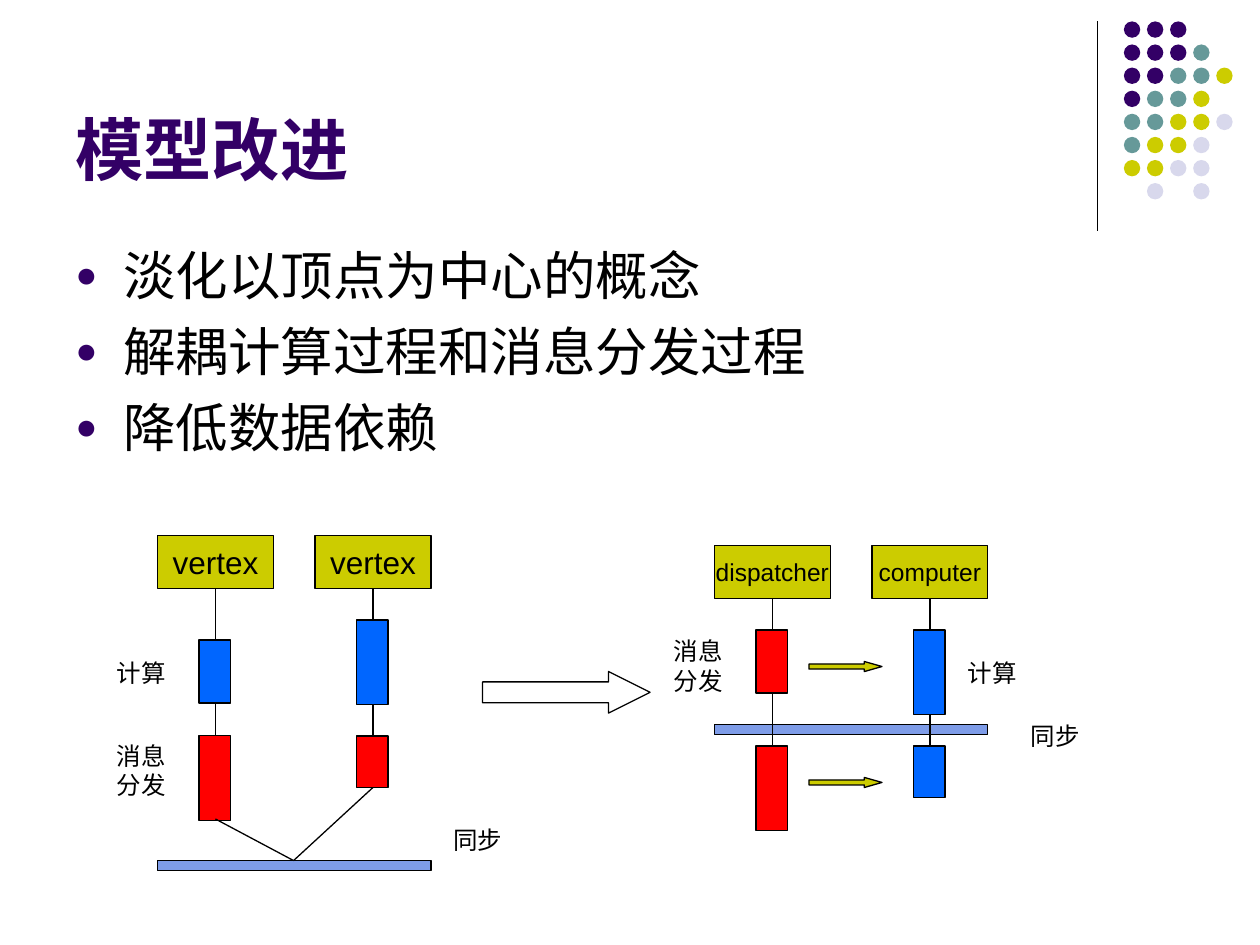
from pptx import Presentation
from pptx.dml.color import RGBColor
from pptx.enum.shapes import MSO_CONNECTOR as Link, MSO_SHAPE as Kind
from pptx.enum.text import MSO_ANCHOR as Anchor, MSO_AUTO_SIZE as Fit, PP_ALIGN as Align
from pptx.oxml import parse_xml
from pptx.oxml.ns import nsdecls
from pptx.util import Inches, Pt

BLACK = RGBColor(0x00, 0x00, 0x00)
WHITE = RGBColor(0xFF, 0xFF, 0xFF)
PURPLE = RGBColor(0x33, 0x00, 0x66)
TEAL = RGBColor(0x66, 0x99, 0x99)
OLIVE = RGBColor(0xCC, 0xCC, 0x00)
PALE = RGBColor(0xD8, 0xD8, 0xEC)
RED = RGBColor(0xFF, 0x00, 0x00)
BLUE = RGBColor(0x00, 0x66, 0xFF)
SYNC = RGBColor(0x7E, 0x9C, 0xE8)

deck = Presentation()
deck.slide_width, deck.slide_height = Inches(10), Inches(7.5)
slide = deck.slides.add_slide(deck.slide_layouts[6])
shapes = slide.shapes


def draw(kind, box, fill, line=BLACK):
    shape = shapes.add_shape(kind, *map(Inches, box))
    shape.shadow.inherit = False
    shape.fill.solid()
    shape.fill.fore_color.rgb = fill
    if line is None:
        shape.line.fill.background()
    else:
        shape.line.color.rgb = line
        shape.line.width = Pt(0.75)
    return shape


def write(shape, lines, size, color=BLACK, bold=False, align=Align.LEFT, **form):
    frame = shape.text_frame
    for key, value in form.items():
        setattr(frame, key, value)
    frame.text = "\n".join(lines)
    style = {"name": "Arial", "size": Pt(size), "bold": bold}
    for para in frame.paragraphs:
        para.alignment = align
        font = para.runs[0].font
        for key, value in style.items():
            setattr(font, key, value)
        font.color.rgb = color
    return frame


# Corner dots, one letter per colour
INKS = {"P": PURPLE, "T": TEAL, "O": OLIVE, "L": PALE}
DOTS = ["PPP", "PPPT", "PPTTO", "PTTO", "TTOOL", "TOOL", "OOLL", " L L"]
STEP = 0.55 / 3
for row, marks in enumerate(DOTS):
    for col, mark in enumerate(marks):
        if mark in INKS:
            box = (8.92 + col * STEP, 0.17 + row * STEP, 0.13, 0.13)
            draw(Kind.OVAL, box, INKS[mark], None)

# Title
title = shapes.add_textbox(*map(Inches, (0.5, 0.13, 8.25, 1.42)))
write(title, ["模型改进"], 39, PURPLE, True,
      word_wrap=True, vertical_anchor=Anchor.BOTTOM)

# Bullet list
POINTS = ["淡化以顶点为中心的概念", "解耦计算过程和消息分发过程", "降低数据依赖"]
BULLET = [f'<a:buClr {nsdecls("a")}><a:srgbClr val="{PURPLE}"/></a:buClr>',
          f'<a:buSzPct {nsdecls("a")} val="70000"/>',
          f'<a:buFont {nsdecls("a")} typeface="Arial"/>',
          f'<a:buChar {nsdecls("a")} char="●"/>']
body = shapes.add_textbox(*map(Inches, (0.5, 1.88, 9, 1.95)))
frame = write(body, POINTS, 30, word_wrap=True)
for num, para in enumerate(frame.paragraphs):
    props = para._p.get_or_add_pPr()
    props.set("marL", str(Inches(0.38)))
    props.set("indent", str(-Inches(0.38)))
    for xml in BULLET:
        props.append(parse_xml(xml))
    if num:
        para.space_before = Pt(7.5)

# Lanes: left, head top, label, label size, then top, height and fill of two bars
LANES = [
    (1.25, 4.25, "vertex", 18, [(5.08, 0.5, BLUE), (5.84, 0.67, RED)]),
    (2.5, 4.25, "vertex", 18, [(4.92, 0.67, BLUE), (5.84, 0.41, RED)]),
    (5.67, 4.33, "dispatcher", 14, [(5, 0.5, RED), (5.92, 0.67, RED)]),
    (6.92, 4.33, "computer", 14, [(5, 0.67, BLUE), (5.92, 0.41, BLUE)]),
]
lines = [(8.71, 0.17, 8.71, 1.83), (1.71, 6.5, 2.33, 6.83), (2.96, 6.25, 2.33, 6.83)]
for left, top, label, size, bars in LANES:
    head = draw(Kind.RECTANGLE, (left, top, 0.92, 0.42), OLIVE)
    write(head, [label], size, align=Align.CENTER,
          word_wrap=False, vertical_anchor=Anchor.MIDDLE)
    mid, end = left + 0.46, top + 0.42
    for start, height, fill in bars:
        draw(Kind.RECTANGLE, (mid - 0.13, start, 0.25, height), fill)
        lines.append((mid, end, mid, start))
        end = start + height

# Sync bars
for left, top in [(1.25, 6.83), (5.67, 5.75)]:
    draw(Kind.FLOWCHART_PROCESS, (left, top, 2.17, 0.08), SYNC)

# Divider and links
for ends in lines:
    link = shapes.add_connector(Link.STRAIGHT, *map(Inches, ends))
    link.line.color.rgb = BLACK
    link.line.width = Pt(0.75)
    link._element.spPr.append(parse_xml(f'<a:effectLst {nsdecls("a")}/>'))

# Side labels
NOTES = [
    (0.83, 5.17, ["计算"]), (0.83, 5.83, ["消息", "分发"]), (3.5, 6.5, ["同步"]),
    (7.58, 5.17, ["计算"]), (5.25, 5, ["消息", "分发"]), (8.08, 5.67, ["同步"]),
]
for left, top, words in NOTES:
    height = 0.11 + 0.23 * len(words)
    note = shapes.add_textbox(*map(Inches, (left, top, 0.59, height)))
    write(note, words, 14, word_wrap=False, auto_size=Fit.SHAPE_TO_FIT_TEXT)

# Block arrows
ARROWS = [
    ((6.42, 5.25, 0.58, 0.08), OLIVE, 1.75),
    ((6.42, 6.17, 0.58, 0.08), OLIVE, 1.75),
    ((3.83, 5.33, 1.33, 0.33), WHITE, 1),
]
for box, fill, point in ARROWS:
    arrow = draw(Kind.RIGHT_ARROW, box, fill)
    arrow.adjustments[0] = 0.5
    arrow.adjustments[1] = point

deck.save("out.pptx")
